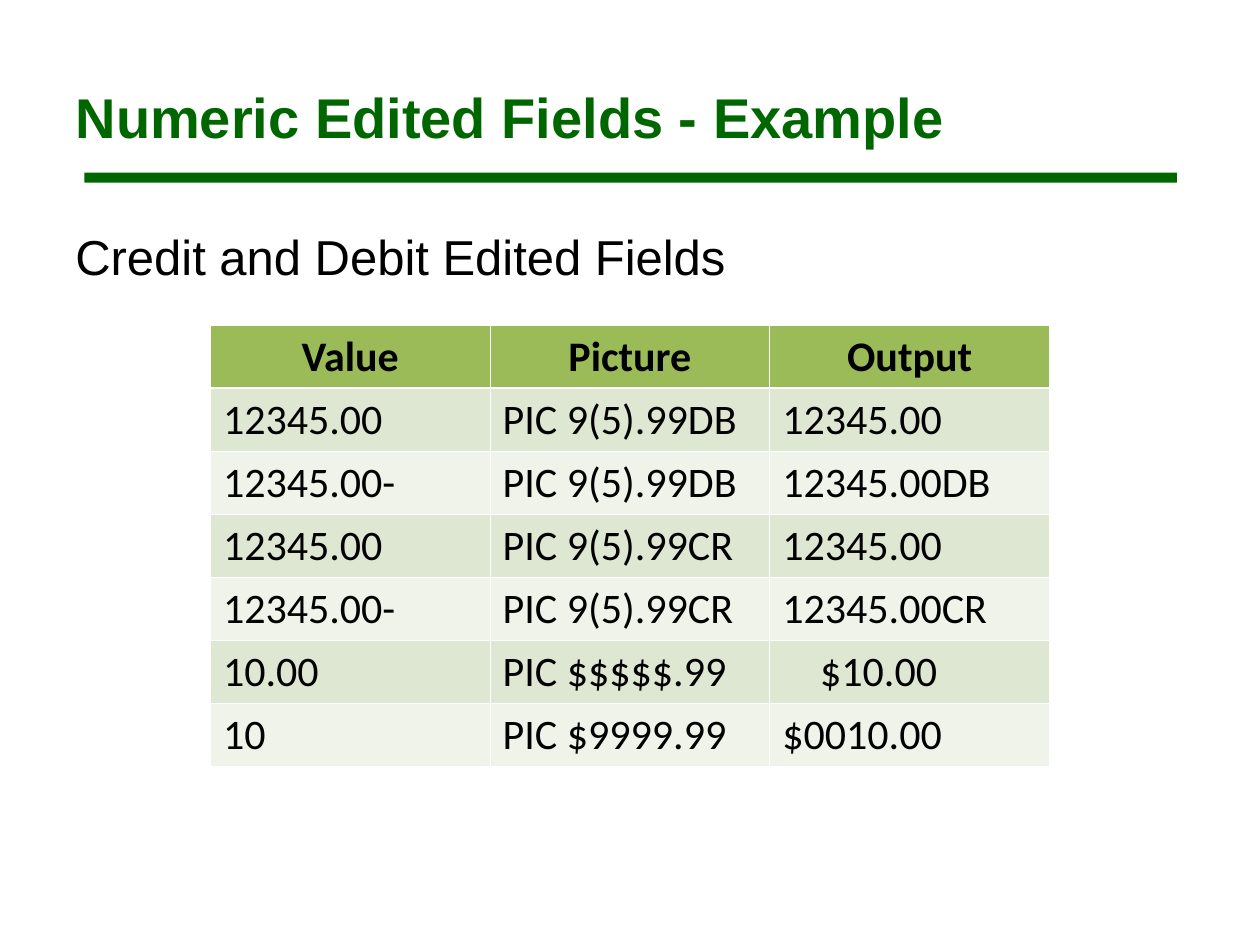
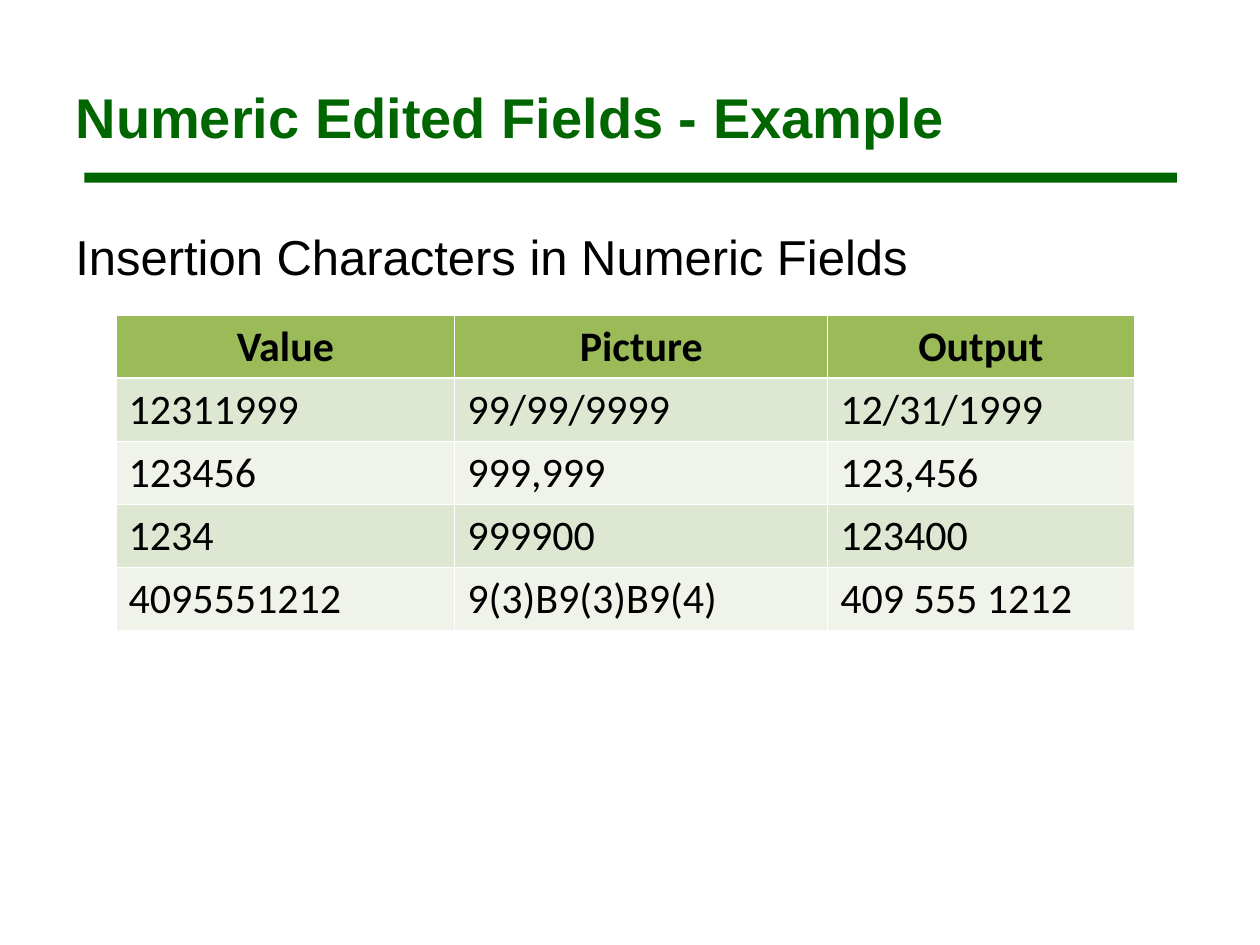
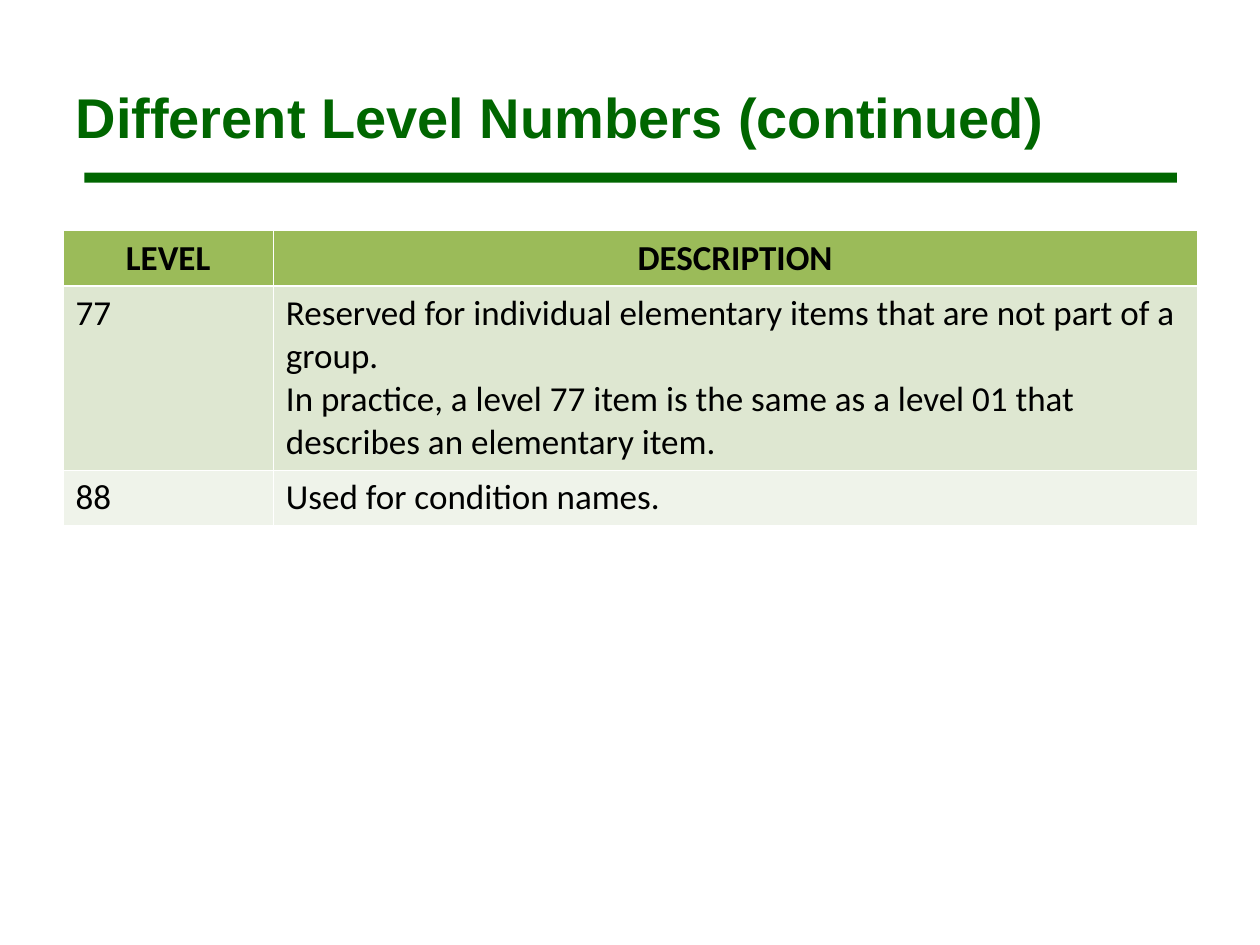
"""Build three slides on edited numeric fields and level numbers."""
from lxml import etree
from pptx import Presentation
from pptx.dml.color import RGBColor
from pptx.enum.shapes import MSO_SHAPE
from pptx.enum.text import MSO_ANCHOR, MSO_AUTO_SIZE, PP_ALIGN
from pptx.oxml.ns import qn
from pptx.util import Inches, Pt

RECTANGLE = MSO_SHAPE.RECTANGLE
MIDDLE = MSO_ANCHOR.MIDDLE
NO_AUTOFIT = MSO_AUTO_SIZE.NONE
LEFT, CENTER = PP_ALIGN.LEFT, PP_ALIGN.CENTER

GREEN = RGBColor(0x00, 0x66, 0x00)
BLACK = RGBColor(0x00, 0x00, 0x00)
WHITE = RGBColor(0xFF, 0xFF, 0xFF)
HEADER_FILL = RGBColor(0x9B, 0xBB, 0x59)
ROW_FILLS = (RGBColor(0xEF, 0xF3, 0xEA), RGBColor(0xDE, 0xE7, 0xD1))

HEADING_FONT = "Arial"
TABLE_FONT = "Calibri"
THIN, THICK = Pt(0.45), Pt(1.47)
TITLE_ONLY = 5

FIELD_HEADER = ("Value", "Picture", "Output")
CURRENCY_ROWS = [
    FIELD_HEADER,
    ("12345.00", "PIC 9(5).99DB", "12345.00"),
    ("12345.00-", "PIC 9(5).99DB", "12345.00DB"),
    ("12345.00", "PIC 9(5).99CR", "12345.00"),
    ("12345.00-", "PIC 9(5).99CR", "12345.00CR"),
    ("10.00", "PIC $$$$$.99", "$10.00"),
    ("10", "PIC $9999.99", "$0010.00"),
]
INSERTION_ROWS = [
    FIELD_HEADER,
    ("12311999", "99/99/9999", "12/31/1999"),
    ("123456", "999,999", "123,456"),
    ("1234", "999900", "123400"),
    ("4095551212", "9(3)B9(3)B9(4)", "409 555 1212"),
]
LEVEL_ROWS = [
    ("LEVEL", "DESCRIPTION"),
    ("77", "Reserved for individual elementary items that are not part of a group.\n"
           "In practice, a level 77 item is the same as a level 01 that describes "
           "an elementary item."),
    ("88", "Used for condition names."),
]


class Deck:
    """Hold the shared style and the current slide."""

    def __init__(self):
        """Start an empty presentation."""
        self.presentation = Presentation()
        self.presentation.slide_width = Inches(10)
        self.presentation.slide_height = Inches(7.5)
        self.slide = None

    def format_text(self, text_frame, font_name, size, color, bold=False, alignment=LEFT):
        """Give every paragraph of a text frame the same look."""
        for paragraph in text_frame.paragraphs:
            paragraph.alignment = alignment
            font = paragraph.font
            font.name, font.size, font.bold = font_name, Pt(size), bold
            font.color.rgb = color

    def add_slide(self, title_text):
        """Add a slide with the green rule and its title."""
        layout = self.presentation.slide_layouts[TITLE_ONLY]
        self.slide = self.presentation.slides.add_slide(layout)
        title = self.slide.shapes.title
        title.left, title.top = Inches(0.5), Inches(0.3)
        title.width, title.height = Inches(9), Inches(1.25)
        title.text_frame.text = title_text
        title.text_frame.auto_size = NO_AUTOFIT
        title.text_frame.vertical_anchor = MIDDLE
        self.format_text(title.text_frame, HEADING_FONT, 32, GREEN, bold=True)

        rule = self.slide.shapes.add_shape(
            RECTANGLE, Inches(0.67), Inches(1.37), Inches(8.67), Inches(0.08))
        rule.shadow.inherit = False
        rule.fill.solid()
        rule.fill.fore_color.rgb = GREEN
        rule.line.fill.background()

    def add_subtitle(self, text):
        """Add the line of text below the rule."""
        box = self.slide.shapes.add_textbox(
            Inches(0.5), Inches(1.75), Inches(9), Inches(0.58))
        box.text_frame.word_wrap = True
        box.text_frame.text = text
        box.text_frame.paragraphs[0].space_before = Pt(7)
        self.format_text(box.text_frame, HEADING_FONT, 28, BLACK)

    def set_borders(self, cell, top, bottom):
        """Draw white borders around a cell."""
        properties = cell._tc.get_or_add_tcPr()
        widths = {"a:lnL": THIN, "a:lnR": THIN, "a:lnT": top, "a:lnB": bottom}
        for position, (tag, width) in enumerate(widths.items()):
            line = etree.Element(qn(tag), w=str(int(width)))
            fill = etree.SubElement(line, qn("a:solidFill"))
            etree.SubElement(fill, qn("a:srgbClr"), val=str(WHITE))
            properties.insert(position, line)

    def add_table(self, left, top, column_widths, row_heights, rows, size):
        """Add a table with a header row and banded body rows."""
        table = self.slide.shapes.add_table(
            len(rows), len(column_widths), Inches(left), Inches(top),
            Inches(sum(column_widths)), Inches(sum(row_heights))).table
        for column, width in zip(table.columns, column_widths):
            column.width = Inches(width)
        for row_index, (row, height, texts) in enumerate(zip(table.rows, row_heights, rows)):
            row.height = Inches(height)
            is_header = row_index == 0
            for cell, text in zip(row.cells, texts):
                cell.text_frame.text = text
                self.format_text(cell.text_frame, TABLE_FONT, size, BLACK,
                                 is_header, CENTER if is_header else LEFT)
                cell.fill.solid()
                cell.fill.fore_color.rgb = HEADER_FILL if is_header else ROW_FILLS[row_index % 2]
                self.set_borders(cell, THICK if row_index == 1 else THIN,
                                 THICK if is_header else THIN)
        return table


def main():
    """Build the slides and save them."""
    deck = Deck()

    deck.add_slide("Numeric Edited Fields - Example")
    deck.add_subtitle("Credit and Debit Edited Fields")
    table = deck.add_table(1.67, 2.58, [2.22] * 3, [0.5] * len(CURRENCY_ROWS), CURRENCY_ROWS, 24)
    table.cell(5, 2).margin_left = Inches(0.4)

    deck.add_slide("Numeric Edited Fields - Example")
    deck.add_subtitle("Insertion Characters in Numeric Fields")
    deck.add_table(0.92, 2.5, [2.69, 2.96, 2.43], [0.5] * len(INSERTION_ROWS), INSERTION_ROWS, 24)

    deck.add_slide("Different Level Numbers (continued)")
    deck.add_table(0.5, 1.83, [1.67, 7.33], [0.44, 1.44, 0.44], LEVEL_ROWS, 20)

    deck.presentation.save("out.pptx")


if __name__ == "__main__":
    main()
